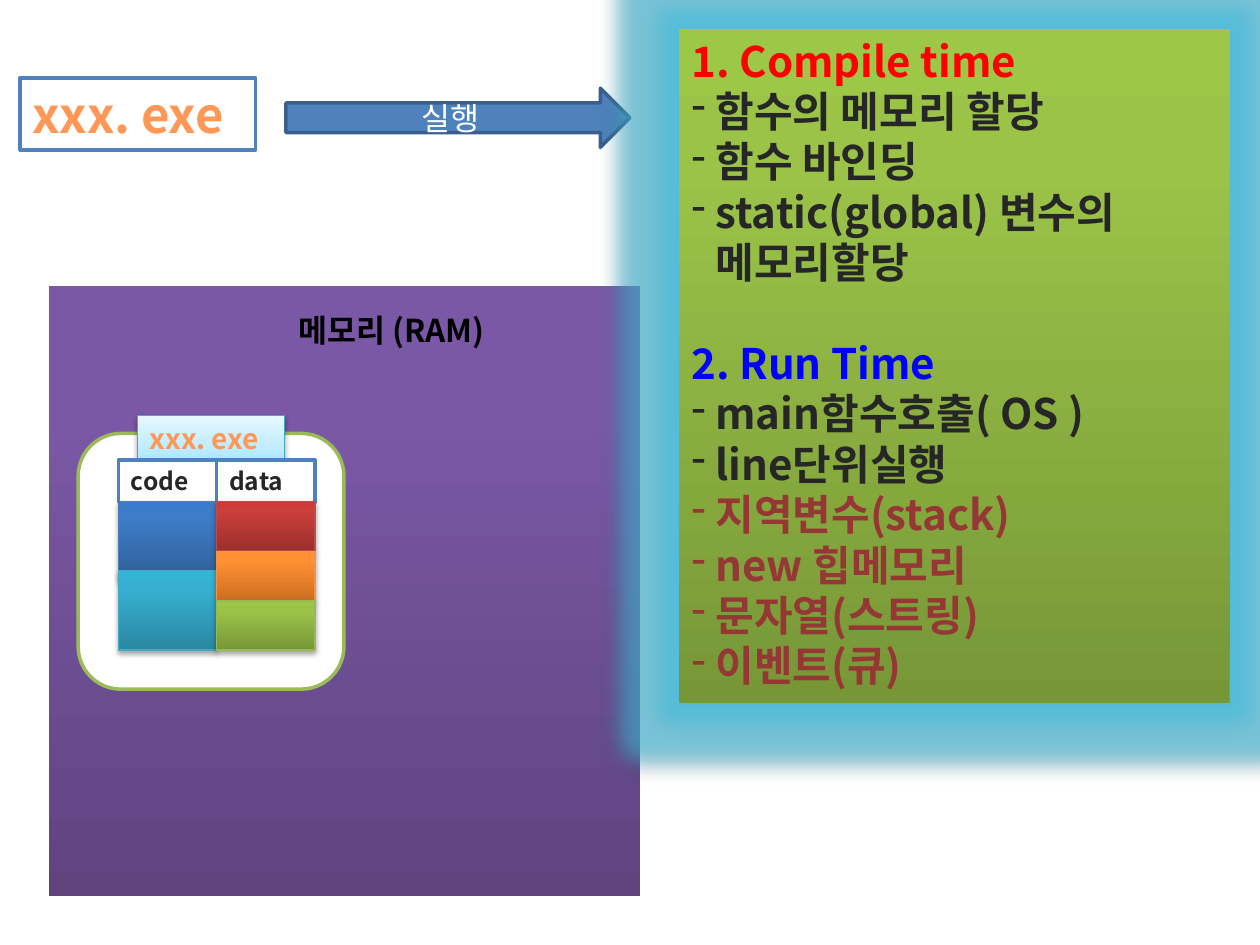
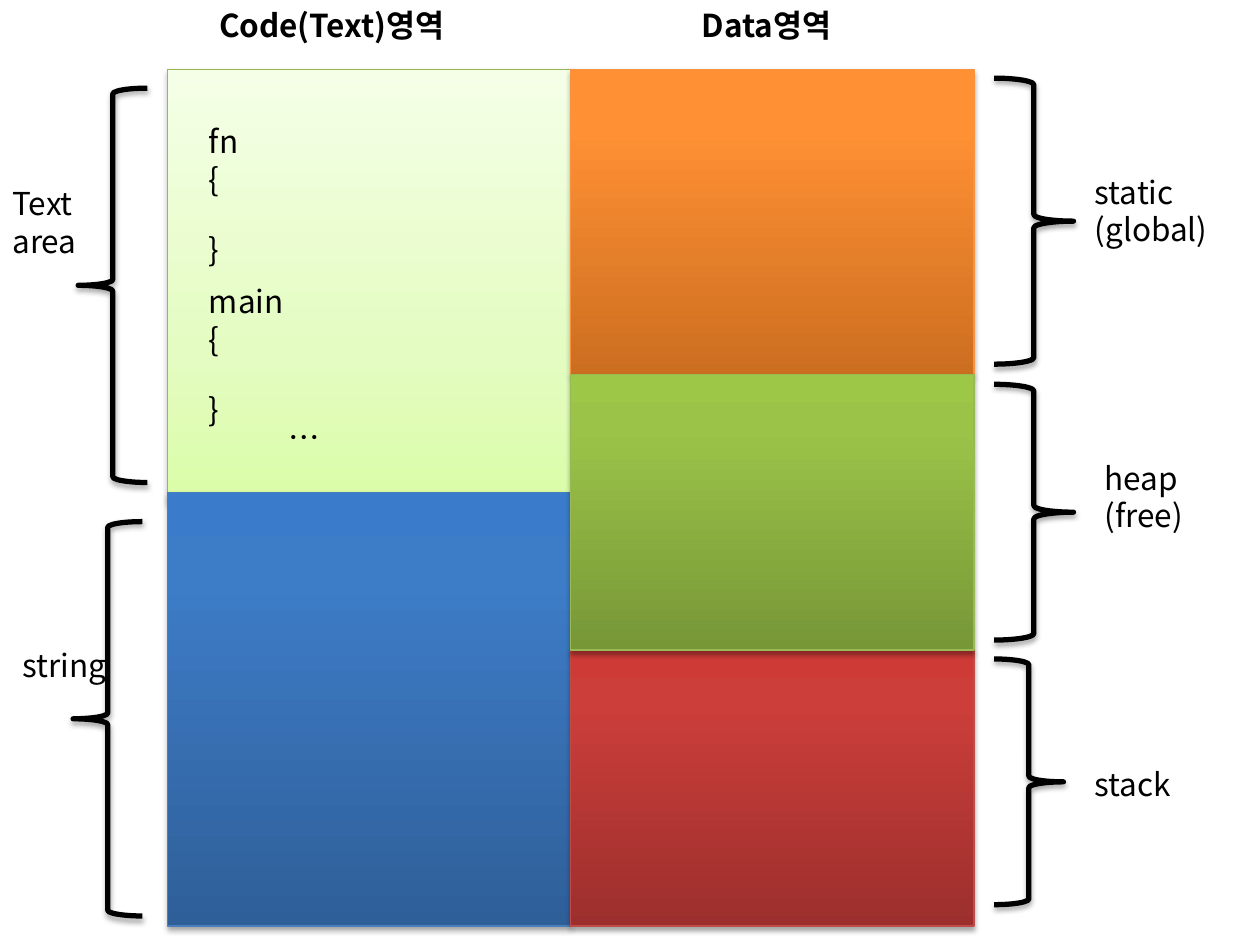
from lxml import etree
from pptx import Presentation, util as u
from pptx.dml.color import RGBColor
from pptx.enum import shapes, text
from pptx.oxml.ns import qn

Inches, Pt = u.Inches, u.Pt
Kind = shapes.MSO_SHAPE
FONT = "Noto Sans CJK KR"
WHITE, BLACK, DARK = "FFFFFF", "000000", "262626"
BLUE, PEACH, MAROON = "4F81BD", "FF9856", "953735"
INDENT = 0.19

# Each gradient runs from the bottom edge to the top: (position, colour).
GRADIENTS = {
    "purple": [(0, "5F4480"), (80, "7B58A6"), (100, "7C57A8")],
    "green": [(0, "779737"), (80, "9BC348"), (100, "9DC746")],
    "blue": [(0, "2F5F99"), (80, "3D7CC7"), (100, "3A7CCB")],
    "teal": [(0, "2A88A2"), (80, "37B1D2"), (100, "34B4D6")],
    "red": [(0, "9C2F2D"), (80, "CB3E3A"), (100, "CE3B37")],
    "orange": [(0, "CC6E20"), (80, "FF9034"), (100, "FF9136")],
    "pale blue": [(0, "A7E6FF"), (35, "C1EDFF"), (100, "E7F8FF")],
    "pale green": [(0, "DAFDA7"), (35, "E4FCC2"), (100, "F5FFE7")],
}
EDGES = {
    "green": "98B955", "blue": "4B7EBC", "teal": "46AAC5", "red": "BF4C48",
    "orange": "F69240", "pale blue": "46AAC5", "pale green": "98B955",
}


def rgb(value):
    """Turn a hex string into a colour."""
    return RGBColor.from_string(value)


def add_child(parent, tag, **attributes):
    """Append a DrawingML element and return it."""
    child = etree.SubElement(parent, qn("a:" + tag))
    for name, value in attributes.items():
        child.set(name, str(value))
    return child


def add_effect(shape, tag, colour, alpha, **attributes):
    """Append a shadow or glow with a transparent colour."""
    effects = shape._element.spPr.find(qn("a:effectLst"))
    effect = add_child(effects, tag, **attributes)
    tint = add_child(effect, "srgbClr", val=colour)
    add_child(tint, "alpha", val=alpha * 1000)


def add_shadow(shape):
    """Drop a soft shadow straight down."""
    add_effect(shape, "outerShdw", BLACK, 35, blurRad=Pt(3.1), dist=Pt(1.8),
               dir=5400000, rotWithShape=0)


def paint(shape, fill):
    """Fill a shape with a named gradient, a hex colour or nothing."""
    if fill is None:
        shape.fill.background()
    elif fill in GRADIENTS:
        shape.fill.gradient()
        gradient = shape._element.spPr.find(qn("a:gradFill"))
        gradient.find(qn("a:lin")).set("ang", "16200000")
        stops = gradient.find(qn("a:gsLst"))
        for stop in list(stops):
            stops.remove(stop)
        for position, colour in GRADIENTS[fill]:
            stop = add_child(stops, "gs", pos=position * 1000)
            add_child(stop, "srgbClr", val=colour)
    else:
        shape.fill.solid()
        shape.fill.fore_color.rgb = rgb(fill)


def add_shape(slide, kind, box, fill=None, line=None, width=2):
    """Add a preset shape with its own fill and outline."""
    shape = slide.shapes.add_shape(kind, *map(Inches, box))
    shape.shadow.inherit = False
    paint(shape, fill)
    if line:
        shape.line.color.rgb = rgb(line)
        shape.line.width = Pt(width)
    else:
        shape.line.fill.background()
    return shape


def write(paragraph, content, size=18, colour=BLACK, bold=False, bullet=False,
          indent=0, before=0, align=text.PP_ALIGN.LEFT):
    """Write one formatted paragraph."""
    run = paragraph.add_run()
    run.text = content
    run.font.name = FONT
    run.font.size = Pt(size)
    run.font.bold = bold
    run.font.color.rgb = rgb(colour)
    paragraph.alignment = align
    paragraph.line_spacing = Pt(size * 1.2)
    paragraph.space_before = Pt(before)
    properties = paragraph._p.get_or_add_pPr()
    etree.SubElement(run._r.get_or_add_rPr(), qn("a:ea")).set("typeface", FONT)
    if indent:
        properties.set("marL", str(Inches(indent)))
    if bullet:
        properties.set("indent", str(-Inches(indent)))
        add_child(properties, "buFontTx")
        add_child(properties, "buChar", char="-")


def set_text(shape, lines, anchor=text.MSO_ANCHOR.TOP, **style):
    """Put lines of one style into a shape."""
    frame = shape.text_frame
    frame.word_wrap = True
    frame.vertical_anchor = anchor
    for number, content in enumerate(lines):
        paragraph = frame.add_paragraph() if number else frame.paragraphs[0]
        write(paragraph, content, **style)


def add_label(slide, box, *lines, **style):
    """Add a plain text box."""
    set_text(slide.shapes.add_textbox(*map(Inches, box)), lines, **style)


def add_block(slide, box, name):
    """Add a gradient memory block with an edge and a shadow."""
    block = add_shape(slide, Kind.RECTANGLE, box, name, EDGES[name], 0.75)
    add_shadow(block)
    return block


def add_frame(slide, box, content, **style):
    """Add a white box with a blue outline and bold text."""
    frame = add_shape(slide, Kind.RECTANGLE, box, WHITE, BLUE)
    set_text(frame, [content], bold=True, **style)


def add_brace(slide, box, rotation=0):
    """Add a thick brace that marks a memory area."""
    brace = add_shape(slide, Kind.LEFT_BRACE, box, None, BLACK, 3)
    brace.rotation = rotation
    add_shadow(brace)


def add_steps(slide):
    """Add the glowing panel that lists compile-time and run-time steps."""
    panel = add_shape(slide, Kind.RECTANGLE, (5.39, 0.23, 4.37, 5.35), "green")
    add_effect(panel, "glow", "45BFE0", 60, rad=Inches(0.32))
    add_shadow(panel)
    heading = {"bold": True}
    item = {"bold": True, "bullet": True, "indent": INDENT, "colour": DARK}
    late = {**item, "colour": MAROON}
    lines = [
        ("1. Compile time", {**heading, "colour": "FF0000"}),
        ("함수의 메모리 할당", item),
        ("함수 바인딩", item),
        ("static(global) 변수의", item),
        ("메모리할당", {**item, "bullet": False}),
        ("2. Run Time", {**heading, "colour": "0000FF", "before": 28.8}),
        ("main함수호출( OS )", item),
        ("line단위실행", item),
        ("지역변수(stack)", late),
        ("new 힙메모리", late),
        ("문자열(스트링)", late),
        ("이벤트(큐)", late),
    ]
    frame = panel.text_frame
    frame.word_wrap = True
    frame.vertical_anchor = text.MSO_ANCHOR.TOP
    for number, (content, style) in enumerate(lines):
        paragraph = frame.add_paragraph() if number else frame.paragraphs[0]
        write(paragraph, content, size=24, **style)


def build_execution(slide):
    """Show a program that is loaded into memory when it runs."""
    add_frame(slide, (0.16, 0.62, 1.87, 0.57), "xxx. exe", size=28, colour=PEACH)
    arrow = add_shape(slide, Kind.RIGHT_ARROW, (2.27, 0.7, 2.73, 0.47), BLUE, "3A5F8C")
    set_text(arrow, ["실행"], text.MSO_ANCHOR.MIDDLE, colour=WHITE,
             align=text.PP_ALIGN.CENTER)
    add_shape(slide, Kind.RECTANGLE, (0.39, 2.27, 4.69, 4.84), "purple")
    add_shape(slide, Kind.ROUNDED_RECTANGLE, (0.62, 3.44, 2.11, 2.03), WHITE, "9BBB59")
    add_label(slide, (2.27, 2.42, 2.03, 0.4), "메모리 (RAM)", bold=True)
    add_steps(slide)

    tag = add_block(slide, (1.09, 3.3, 1.17, 0.37), "pale blue")
    set_text(tag, ["xxx. exe"], size=16, colour=PEACH, bold=True)
    left, top, width = 0.94, 3.98, 0.78
    for column, name in enumerate(("code", "data")):
        add_frame(slide, (left + column * width, 3.65, width, 0.34), name,
                  size=14, colour=DARK)
    for row, name in enumerate(("blue", "teal")):
        add_block(slide, (left, top + row * 0.55, width, 0.63), name)
    for row, name in enumerate(("red", "orange", "green")):
        add_block(slide, (left + width, top + row * 0.395, width, 0.39), name)


def build_areas(slide):
    """Show the code and data areas with the parts of each."""
    code, data, width = 1.33, 4.53, 3.2
    add_block(slide, (code, 0.55, width, 3.44), "pale green")
    add_block(slide, (data, 0.55, width, 2.42), "orange")
    for top, brace_width, height in ((0.62, 0.63, 2.27), (3.05, 0.63, 2.03),
                                     (5.23, 0.55, 1.95)):
        add_brace(slide, (7.89, top, brace_width, height), 180)
    for top, name in ((0.92, "fn"), (2.19, "main")):
        add_label(slide, (1.56, top, 1.17, 0.71), name, "{")
        add_label(slide, (1.56, top + 0.86, 0.47, 0.4), "}")
    add_label(slide, (1.64, 0, 2.42, 0.4), "Code(Text)영역", bold=True)
    add_label(slide, (5.47, 0, 1.41, 0.4), "Data영역", bold=True)
    add_label(slide, (2.19, 3.27, 1.72, 0.4), "…")
    add_label(slide, (8.59, 1.32, 1.17, 0.71), "static", "(global)")
    add_label(slide, (8.67, 3.59, 1.17, 0.71), "heap", "(free)")
    add_label(slide, (8.59, 6.02, 1.17, 0.4), "stack")
    add_label(slide, (0.08, 5.08, 1.17, 0.4), "string")
    add_block(slide, (code, 3.91, width, 3.44), "blue")
    add_brace(slide, (0.58, 4.14, 0.55, 3.13))
    add_block(slide, (data, 5.16, width, 2.19), "red")
    add_block(slide, (data, 2.97, width, 2.19), "green")
    add_brace(slide, (0.62, 0.7, 0.55, 3.13))
    add_label(slide, (0, 1.41, 1.17, 0.71), "Text area")


def main():
    """Build both slides and save the presentation."""
    presentation = Presentation()
    presentation.slide_width = Inches(10)
    presentation.slide_height = Inches(7.5)
    blank = presentation.slide_layouts[6]
    for build in (build_execution, build_areas):
        build(presentation.slides.add_slide(blank))
    presentation.save("out.pptx")


main()
